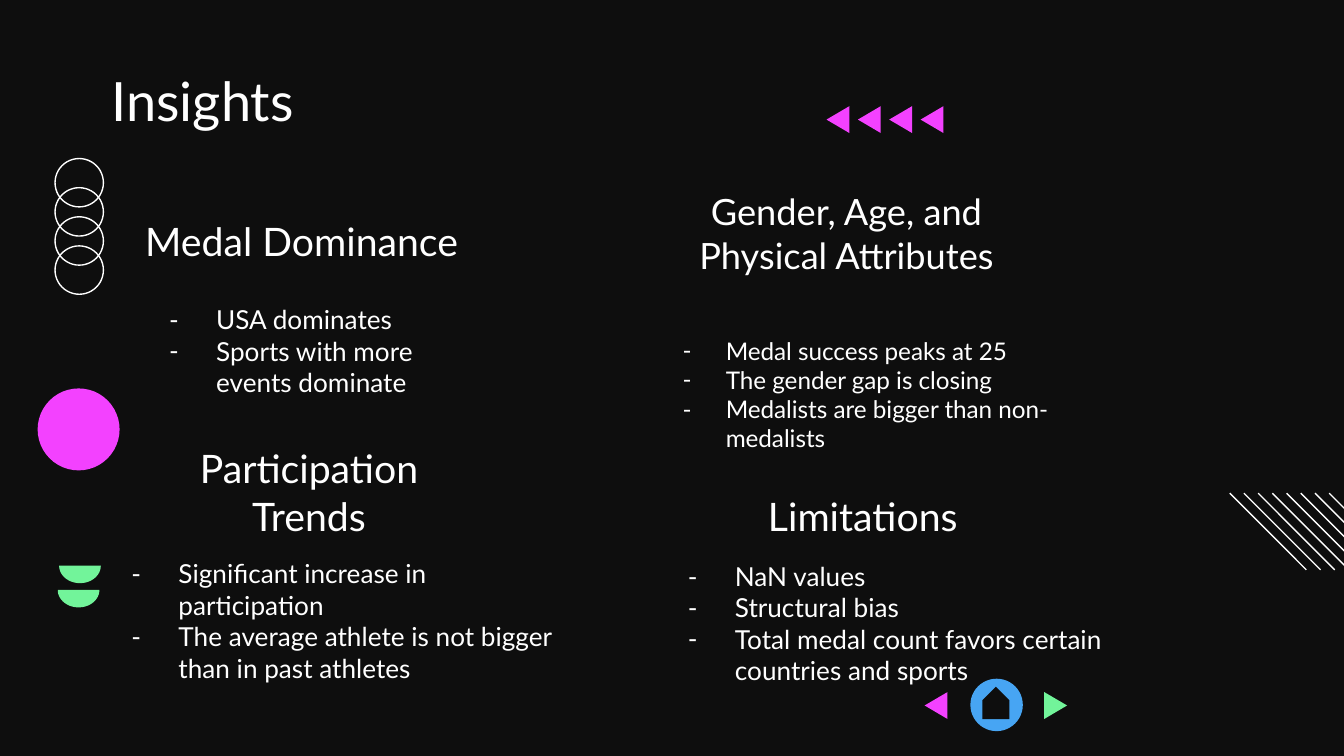
from math import cos, pi, sin

from lxml.etree import SubElement
from pptx import Presentation
from pptx.dml.color import RGBColor
from pptx.enum.shapes import MSO_CONNECTOR, MSO_SHAPE as SHAPE
from pptx.enum.text import MSO_ANCHOR, MSO_AUTO_SIZE, PP_ALIGN as ALIGN
from pptx.oxml.ns import qn
from pptx.util import Inches, Pt

BLACK = RGBColor(0x0E, 0x0E, 0x0E)
WHITE = RGBColor(0xFF, 0xFF, 0xFF)
PINK = RGBColor(0xF3, 0x41, 0xFF)
GREEN = RGBColor(0x72, 0xF4, 0x9A)
BLUE = RGBColor(0x47, 0xA5, 0xF3)
FONT = "Lato"
ARROW_WIDTH, ARROW_HEIGHT = 0.17, 0.2


def add_dash(paragraph, indent, hanging):
    properties = paragraph._p.get_or_add_pPr()
    properties.set("marL", str(Inches(indent)))
    properties.set("indent", str(-Inches(hanging)))
    color = SubElement(properties, qn("a:buClr"))
    SubElement(color, qn("a:srgbClr")).set("val", str(WHITE))
    SubElement(properties, qn("a:buFont")).set("typeface", FONT)
    SubElement(properties, qn("a:buChar")).set("char", "-")


def write_text(shape, lines, size, align=ALIGN.LEFT, inset=0.1, top_inset=None, dash=None):
    frame = shape.text_frame
    frame.word_wrap = True
    frame.auto_size = MSO_AUTO_SIZE.NONE
    frame.vertical_anchor = MSO_ANCHOR.TOP
    frame.margin_left = frame.margin_right = frame.margin_bottom = Inches(inset)
    frame.margin_top = Inches(inset if top_inset is None else top_inset)
    frame.text = "\n".join(lines)
    for paragraph in frame.paragraphs:
        if dash:
            add_dash(paragraph, *dash)
        paragraph.alignment = align
        for run in paragraph.runs:
            run.font.name = FONT
            run.font.size = Pt(size)
            run.font.color.rgb = WHITE


def style(shape, fill=None, line=None):
    shape.shadow.inherit = False
    if fill is None:
        shape.fill.background()
    else:
        shape.fill.solid()
        shape.fill.fore_color.rgb = fill
    if line is None:
        shape.line.fill.background()
    else:
        shape.line.color.rgb = line
        shape.line.width = Pt(0.75)


def add_preset(slide, kind, left, top, width, height, **colors):
    shape = slide.shapes.add_shape(kind, Inches(left), Inches(top), Inches(width), Inches(height))
    style(shape, **colors)
    return shape


def add_polygon(slide, points, fill):
    start, *others = [(Inches(x), Inches(y)) for x, y in points]
    builder = slide.shapes.build_freeform(*start)
    builder.add_line_segments(others, close=True)
    style(builder.convert_to_shape(), fill=fill)


def add_arrow(slide, left, top, fill, points_left=True):
    right = left + ARROW_WIDTH
    tip, base = (left, right) if points_left else (right, left)
    add_polygon(slide, [(base, top), (tip, top + ARROW_HEIGHT / 2), (base, top + ARROW_HEIGHT)], fill)


def add_half_disc(slide, left, top, width=0.31, height=0.13, steps=40):
    radius = width / 2
    angles = [pi * step / steps for step in range(steps + 1)]
    points = [(left + radius - radius * cos(a), top + height * sin(a)) for a in angles]
    add_polygon(slide, points, GREEN)


def add_left_ornaments(slide, left, top):
    # Chain of outlined rings
    for index in range(4):
        add_preset(slide, SHAPE.OVAL, left + 0.13, top + 0.65 * index / 3, 0.36, 0.36, line=WHITE)
    # Disc and two half discs
    add_preset(slide, SHAPE.OVAL, left, top + 1.71, 0.61, 0.61, fill=PINK)
    add_half_disc(slide, left + 0.16, top + 3.03)
    add_half_disc(slide, left + 0.15, top + 3.21)


def add_hatching(slide, left, top, length=0.57, count=8):
    for index in range(count):
        x = left + 0.74 * index / (count - 1)
        line = slide.shapes.add_connector(
            MSO_CONNECTOR.STRAIGHT, Inches(x), Inches(top), Inches(x + length), Inches(top + length))
        line.line.color.rgb = WHITE
        line.line.width = Pt(0.75)
        SubElement(line._element.spPr, qn("a:effectLst"))


def add_arrow_row(slide, left, top):
    for index in range(4):
        add_arrow(slide, left + 0.7 * index / 3, top, PINK)


def add_navigation(slide, left, top):
    # Home button between back and forward arrows
    add_preset(slide, SHAPE.OVAL, left + 0.34, top, 0.39, 0.39, fill=BLUE)
    house = add_preset(slide, SHAPE.PENTAGON, left + 0.41, top + 0.08, 0.24, 0.2, fill=BLACK)
    house.rotation = 270
    add_arrow(slide, left, top + 0.1, PINK)
    add_arrow(slide, left + 0.89, top + 0.1, GREEN, points_left=False)


def add_title(slide, text, left, top, width, height):
    title = slide.shapes.title
    title.left, title.top = Inches(left), Inches(top)
    title.width, title.height = Inches(width), Inches(height)
    write_text(title, [text], 29, top_inset=0)


def add_insight(slide, heading, heading_box, points, points_box, scale=1):
    """Place a centred heading and its dashed list, at a text scale."""
    heading_size, point_size = (21, 14) if scale == 1 else (19.4, 13)
    inset = round(0.1 * scale, 2)
    dash = (round(0.5 * scale, 2), round(0.35 * scale, 2))
    for lines, box, size, options in (
        ([heading], heading_box, heading_size, {"align": ALIGN.CENTER}),
        (points, points_box, point_size, {"dash": dash}),
    ):
        text_box = slide.shapes.add_textbox(*map(Inches, box))
        write_text(text_box, lines, size, inset=inset, **options)


INSIGHTS = [
    ("Medal Dominance", (0.78, 1.52, 2.93, 0.54),
     ["USA dominates", "Sports with more events dominate"], (1.01, 2.16, 2.48, 1.16), 1),
    ("Gender, Age, and Physical Attributes", (4.91, 1.32, 2.78, 0.95),
     ["Medal success peaks at 25", "The gender gap is closing",
      "Medalists are bigger than non-medalists"], (4.85, 2.41, 3.18, 1.16), 0.92),
    ("Participation Trends", (1.06, 3.21, 2.48, 0.84),
     ["Significant increase in participation",
      "The average athlete is not bigger than in past athletes"], (0.73, 4.05, 3.56, 1.42), 1),
    ("Limitations", (5.18, 3.56, 2.48, 0.48),
     ["NaN values", "Structural bias",
      "Total medal count favors certain countries and sports"], (4.87, 4.07, 3.43, 0.84), 1),
]


def main():
    presentation = Presentation()
    # Widescreen, 16:9
    presentation.slide_width = Inches(10)
    presentation.slide_height = Inches(10 * 9 / 16)
    slide = presentation.slides.add_slide(presentation.slide_layouts[5])
    slide.background.fill.solid()
    slide.background.fill.fore_color.rgb = BLACK

    add_left_ornaments(slide, 0.28, 1.18)
    add_hatching(slide, 9.15, 3.67)
    add_title(slide, "Insights", 0.73, 0.5, 8.44, 0.46)
    for insight in INSIGHTS:
        add_insight(slide, *insight)
    add_arrow_row(slide, 6.15, 0.79)
    add_navigation(slide, 6.88, 5.05)
    presentation.save("out.pptx")


if __name__ == "__main__":
    main()
